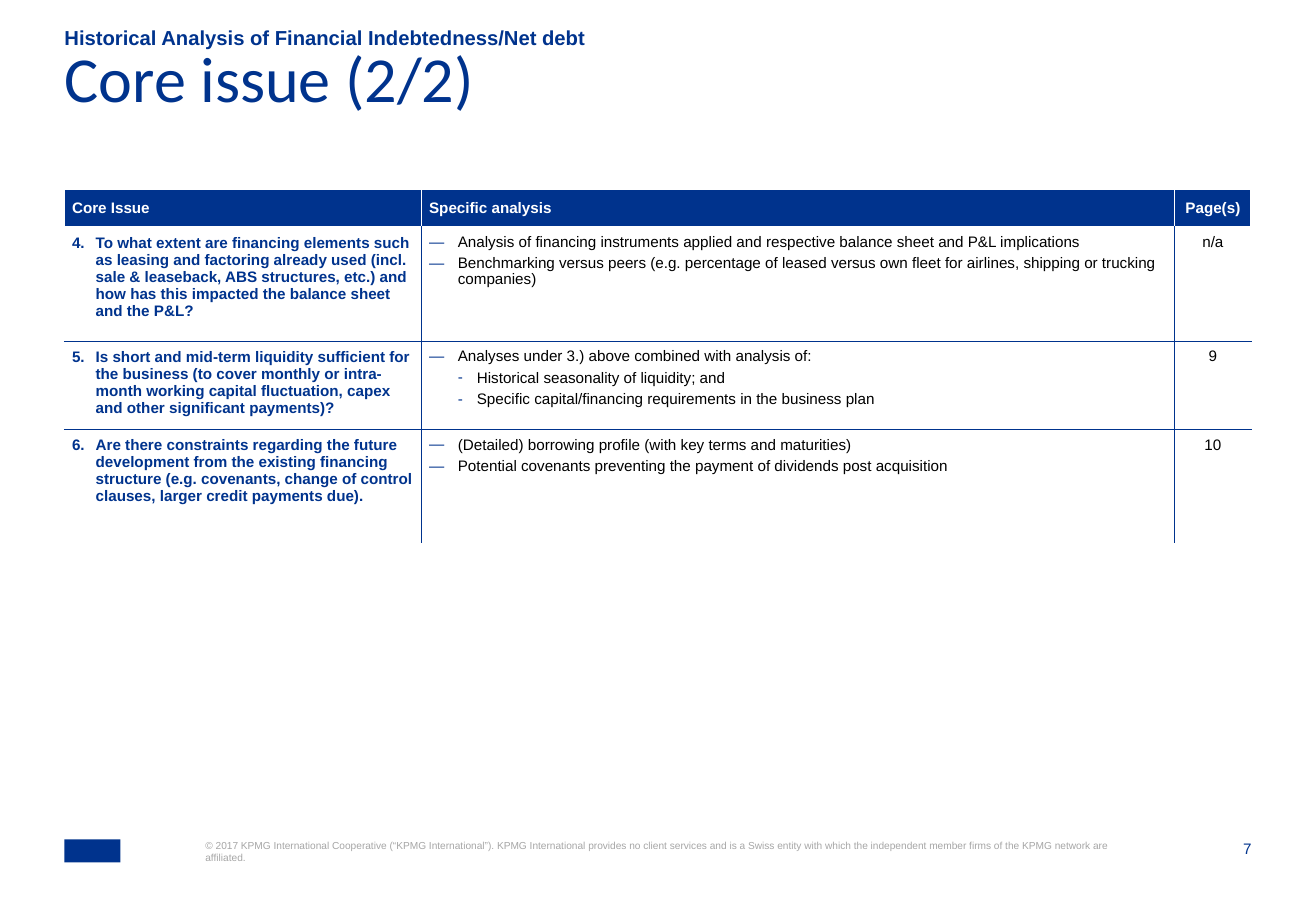
from lxml.etree import SubElement
from pptx import Presentation
from pptx.dml.color import RGBColor
from pptx.enum.shapes import MSO_SHAPE
from pptx.enum.text import MSO_ANCHOR, PP_ALIGN
from pptx.oxml.ns import qn
from pptx.util import Pt

BLUE, WHITE, BLACK, GREY = "00338D", "FFFFFF", "000000", "A6A6A6"
LEFT = 38.2
COLUMN_WIDTHS = [211.6, 446.2, 45.4]
ROW_HEIGHTS = [22.3, 67.7, 48.9, 67.7]
HEADINGS = ["Core Issue", "Specific analysis", "Page(s)"]
ISSUES = [
    (
        "4.\tTo what extent are financing elements such as leasing and factoring already used "
        "(incl. sale & leaseback, ABS structures, etc.) and how has this impacted the balance "
        "sheet and the P&L?",
        [
            ("—", "Analysis of financing instruments applied and respective balance sheet and P&L implications"),
            ("—", "Benchmarking versus peers (e.g. percentage of leased versus own fleet for airlines, "
                  "shipping or trucking companies)"),
        ],
        "n/a",
    ),
    (
        "5.\tIs short and mid-term liquidity sufficient for the business (to cover monthly or "
        "intra-month working capital fluctuation, capex and other significant payments)?",
        [
            ("—", "Analyses under 3.) above combined with analysis of:"),
            ("-", "Historical seasonality of liquidity; and"),
            ("-", "Specific capital/financing requirements in the business plan"),
        ],
        "9",
    ),
    (
        "6.\tAre there constraints regarding the future development from the existing financing "
        "structure (e.g. covenants, change of control clauses, larger credit payments due).",
        [
            ("—", "(Detailed) borrowing profile (with key terms and maturities)"),
            ("—", "Potential covenants preventing the payment of dividends post acquisition"),
        ],
        "10",
    ),
]
COPYRIGHT = (
    "© 2017 KPMG International Cooperative (“KPMG International”). KPMG International provides "
    "no client services and is a Swiss entity with which the independent member firms of the "
    "KPMG network are affiliated."
)


def color(value):
    return RGBColor.from_string(value)


class IssueSlide:
    """Draws styled text, blocks and the issue table on one slide."""

    font_name = "Arial"
    table_size = 9
    cell_margin = 4.5
    line_spacing = 0.95
    bullet_indents = {"—": (0, 17, -17), "-": (1, 28.3, -11.3)}

    def __init__(self, slide):
        self.slide = slide

    def format_runs(self, paragraph, size, text_color, bold=False, font_name=None):
        for run in paragraph.runs:
            run.font.name = font_name or self.font_name
            run.font.size = Pt(size)
            run.font.bold = bold
            run.font.color.rgb = color(text_color)

    def text(self, content, left, top, width, height, size, text_color, bold=False,
             font_name=None, align=PP_ALIGN.LEFT, anchor=MSO_ANCHOR.TOP, spacing=None):
        text_frame = self.slide.shapes.add_textbox(Pt(left), Pt(top), Pt(width), Pt(height)).text_frame
        text_frame.word_wrap = True
        text_frame.vertical_anchor = anchor
        text_frame.margin_left = text_frame.margin_right = 0
        text_frame.margin_top = text_frame.margin_bottom = 0
        text_frame.text = content
        paragraph = text_frame.paragraphs[0]
        paragraph.alignment = align
        paragraph.line_spacing = spacing
        self.format_runs(paragraph, size, text_color, bold, font_name)

    def block(self, left, top, width, height, fill):
        shape = self.slide.shapes.add_shape(MSO_SHAPE.RECTANGLE, Pt(left), Pt(top), Pt(width), Pt(height))
        shape.shadow.inherit = False
        shape.fill.solid()
        shape.fill.fore_color.rgb = color(fill)
        shape.line.fill.background()

    def indent(self, paragraph, margin, first_line):
        properties = paragraph._p.get_or_add_pPr()
        properties.set("marL", str(Pt(margin)))
        properties.set("indent", str(Pt(first_line)))
        return properties

    def bullet(self, paragraph, symbol):
        paragraph.level, margin, first_line = self.bullet_indents[symbol]
        properties = self.indent(paragraph, margin, first_line)
        bullet_color = SubElement(properties, qn("a:buClr"))
        SubElement(bullet_color, qn("a:srgbClr"), val=BLUE)
        SubElement(properties, qn("a:buFont"), typeface=self.font_name)
        SubElement(properties, qn("a:buChar"), char=symbol)
        paragraph.space_after = Pt(3)

    def number_tab(self, paragraph, position):
        properties = self.indent(paragraph, position, -position)
        tabs = SubElement(properties, qn("a:tabLst"))
        SubElement(tabs, qn("a:tab"), pos=str(Pt(position)), algn="l")

    def style_cell(self, cell, fill, borders):
        cell.margin_left = cell.margin_right = Pt(self.cell_margin)
        cell.margin_top = cell.margin_bottom = Pt(self.cell_margin)
        for side, border_color in borders.items():
            line = SubElement(cell._tc.get_or_add_tcPr(), qn("a:ln" + side), w=str(Pt(1)))
            line_fill = SubElement(line, qn("a:solidFill"))
            SubElement(line_fill, qn("a:srgbClr"), val=border_color)
        cell.fill.solid()
        cell.fill.fore_color.rgb = color(fill)

    def fill_header(self, cell, heading):
        cell.vertical_anchor = MSO_ANCHOR.MIDDLE
        cell.text_frame.text = heading
        paragraph = cell.text_frame.paragraphs[0]
        paragraph.line_spacing = self.line_spacing
        self.format_runs(paragraph, self.table_size, WHITE, bold=True)

    def fill_issue(self, cells, question, analyses, pages):
        question_frame, analysis_frame, pages_frame = [cell.text_frame for cell in cells]
        question_frame.text = question
        self.number_tab(question_frame.paragraphs[0], 14)
        self.format_runs(question_frame.paragraphs[0], self.table_size, BLUE, bold=True)
        analysis_frame.text = "\n".join(analysis for symbol, analysis in analyses)
        for paragraph, (symbol, analysis) in zip(analysis_frame.paragraphs, analyses):
            self.bullet(paragraph, symbol)
        pages_frame.text = pages
        for paragraph in [*analysis_frame.paragraphs, *pages_frame.paragraphs]:
            paragraph.line_spacing = self.line_spacing
            self.format_runs(paragraph, self.table_size, BLACK)

    def issue_table(self, left, top):
        last_row, last_column = len(ROW_HEIGHTS) - 1, len(COLUMN_WIDTHS) - 1
        table = self.slide.shapes.add_table(
            len(ROW_HEIGHTS), len(COLUMN_WIDTHS), Pt(left), Pt(top),
            Pt(sum(COLUMN_WIDTHS)), Pt(sum(ROW_HEIGHTS))).table
        table.horz_banding = False
        for column, width in zip(table.columns, COLUMN_WIDTHS):
            column.width = Pt(width)
        for row_index, (row, height) in enumerate(zip(table.rows, ROW_HEIGHTS)):
            row.height = Pt(height)
            for column_index, cell in enumerate(row.cells):
                white_sides = {
                    "L": row_index == 0 or column_index == 0,
                    "R": row_index == 0 or column_index == last_column,
                    "T": row_index <= 1,
                    "B": row_index in (0, last_row),
                }
                borders = {side: WHITE if white else BLUE for side, white in white_sides.items()}
                self.style_cell(cell, WHITE if row_index else BLUE, borders)
        for column_index, heading in enumerate(HEADINGS):
            self.fill_header(table.cell(0, column_index), heading)
        for row_index, issue in enumerate(ISSUES, start=1):
            self.fill_issue(table.rows[row_index].cells, *issue)
        for row in table.rows:
            row.cells[last_column].text_frame.paragraphs[0].alignment = PP_ALIGN.CENTER


def main():
    presentation = Presentation()
    presentation.slide_width, presentation.slide_height = Pt(779.76), Pt(540)
    page = IssueSlide(presentation.slides.add_slide(presentation.slide_layouts[6]))
    page.text("7", 710.6, 497.5, 31, 11.5, 9, BLUE, align=PP_ALIGN.RIGHT)
    page.block(LEFT, 497.5, 33.1, 13.7, BLUE)
    page.text(COPYRIGHT, 121.7, 497.5, 539.3, 29.5, 6, GREY)
    page.text("Historical Analysis of Financial Indebtedness/Net debt", LEFT, 15.8, 676.8, 13.7,
              12, BLUE, bold=True, anchor=MSO_ANCHOR.BOTTOM)
    page.text("Core issue (2/2)", LEFT, 35.3, 702.7, 56.9, 38, BLUE, font_name="Calibri", spacing=0.7)
    page.issue_table(LEFT, 112.3)
    presentation.save("out.pptx")


if __name__ == "__main__":
    main()
